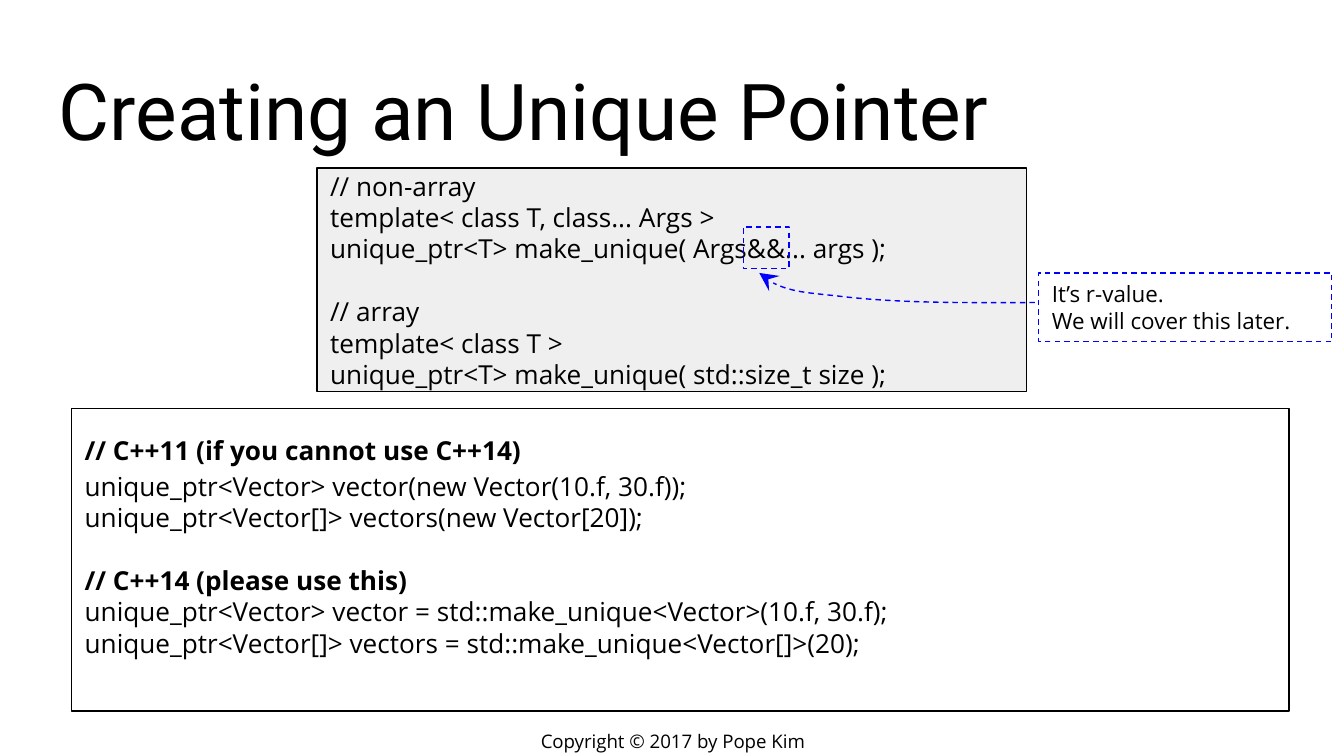
import pptx
import pptx.dml.color
import pptx.enum.dml
import pptx.enum.shapes
import pptx.enum.text
import pptx.oxml
import pptx.oxml.ns
import pptx.util
from pptx.util import Cm

COLORS = {"ink": "000000", "code": "EFEFEF", "accent": "0000FF"}
INSET = 0.25
LINE_HEIGHT = 1.2

SIGNATURES = [
    ["// non-array", "template< class T, class... Args >",
     "unique_ptr<T> make_unique( Args&&... args );"],
    ["// array", "template< class T >",
     "unique_ptr<T> make_unique( std::size_t size );"],
]
EXAMPLES = [
    ["// C++11 (if you cannot use C++14)",
     "unique_ptr<Vector> vector(new Vector(10.f, 30.f));",
     "unique_ptr<Vector[]> vectors(new Vector[20]);"],
    ["// C++14 (please use this)",
     "unique_ptr<Vector> vector = std::make_unique<Vector>(10.f, 30.f);",
     "unique_ptr<Vector[]> vectors = std::make_unique<Vector[]>(20);"],
]


def rgb(name):
    """Return the named colour."""
    return pptx.dml.color.RGBColor.from_string(COLORS[name])


def format_frame(frame, anchor=pptx.enum.text.MSO_ANCHOR.MIDDLE):
    """Set wrapping, anchor and equal insets of a text frame."""
    frame.word_wrap = True
    frame.auto_size = pptx.enum.text.MSO_AUTO_SIZE.NONE
    frame.vertical_anchor = anchor
    frame.margin_left = frame.margin_right = Cm(INSET)
    frame.margin_top = frame.margin_bottom = Cm(INSET)


def format_para(para, size, font="Open Sans", align=pptx.enum.text.PP_ALIGN.LEFT):
    """Set the font and alignment of a paragraph."""
    para.alignment = align
    para.font.size = pptx.util.Pt(size)
    para.font.name = font
    para.font.color.rgb = rgb("ink")


def write_groups(frame, groups, size):
    """Write groups of lines, one line height apart, and return the paragraphs."""
    format_frame(frame)
    frame.text = "\n".join(line for group in groups for line in group)
    paras = list(frame.paragraphs)
    for para in paras:
        format_para(para, size)
    start = 0
    for group in groups[:-1]:
        start += len(group)
        paras[start].space_before = pptx.util.Pt(size * LINE_HEIGHT)
    return paras


def style_line(shape, color, dashed=False):
    """Give a shape a thin outline and no shadow."""
    shape.shadow.inherit = False
    shape.line.color.rgb = rgb(color)
    shape.line.width = pptx.util.Pt(0.75)
    if dashed:
        shape.line.dash_style = pptx.enum.dml.MSO_LINE.DASH


def add_box(page, box, color="ink", fill=None, dashed=False):
    """Add an outlined rectangle, filled if a fill is named."""
    shape = page.shapes.add_shape(
        pptx.enum.shapes.MSO_SHAPE.RECTANGLE, *map(Cm, box))
    style_line(shape, color, dashed)
    if fill:
        shape.fill.solid()
        shape.fill.fore_color.rgb = rgb(fill)
    else:
        shape.fill.background()
    return shape


def place_title(page, box):
    """Move and format the title placeholder."""
    title = page.shapes.title
    title.left, title.top, title.width, title.height = map(Cm, box)
    title.text_frame.text = "Creating an Unique Pointer"
    format_frame(title.text_frame, pptx.enum.text.MSO_ANCHOR.BOTTOM)
    format_para(title.text_frame.paragraphs[0], 42, "Roboto")


def place_examples(page, box):
    """Add the usage examples with bold headings, set slightly above centre."""
    frame = add_box(page, box).text_frame
    paras = write_groups(frame, EXAMPLES, 14)
    frame.margin_bottom = Cm(INSET + 0.59)
    for para in paras[::3]:
        para.font.bold = True
    for para in paras[:2]:
        para.line_spacing = 1.15


def place_signatures(page, box):
    """Add the function signatures and the mark around the r-value reference."""
    left, top = box[:2]
    write_groups(add_box(page, box, fill="code").text_frame, SIGNATURES, 14)
    add_box(page, (left + 8.06, top + 1.11, 0.86, 0.79), "accent", dashed=True)


def place_callout(page, box):
    """Add the dashed remark and its curved arrow to the left."""
    left, top = box[:2]
    shape = add_box(page, box, "accent", dashed=True)
    write_groups(shape.text_frame, [["It’s r-value.", "We will cover this later."]], 12)
    offsets = [(-0.07, 0.56), (-1.27, 0.56), (-2.48, 0.58), (-3.68, 0.45),
               (-4.24, 0.38), (-4.9, 0.38), (-5.28, 0)]
    points = [(Cm(left + x), Cm(top + y)) for x, y in offsets]
    builder = page.shapes.build_freeform(*points[0])
    builder.add_line_segments(points[1:], close=False)
    arrow = builder.convert_to_shape()
    arrow.fill.background()
    style_line(arrow, "accent", dashed=True)
    bend_lines(arrow)
    tail = pptx.oxml.parse_xml(
        f'<a:tailEnd {pptx.oxml.ns.nsdecls("a")} type="stealth" w="lg" len="lg"/>')
    arrow.line._get_or_add_ln().append(tail)


def bend_lines(shape):
    """Turn each three line segments of a freeform into one cubic curve."""
    lines = shape.element.xpath(".//a:lnTo")
    for start in range(0, len(lines), 3):
        curve = pptx.oxml.parse_xml(f'<a:cubicBezTo {pptx.oxml.ns.nsdecls("a")}/>')
        lines[start].addprevious(curve)
        for line in lines[start:start + 3]:
            curve.append(line[0])
            line.getparent().remove(line)


def place_footer(page, box):
    """Add the centred copyright line."""
    frame = page.shapes.add_textbox(*map(Cm, box)).text_frame
    frame.text = "Copyright © 2017 by Pope Kim"
    format_frame(frame)
    format_para(frame.paragraphs[0], 10, align=pptx.enum.text.PP_ALIGN.CENTER)


def main():
    """Build and save the deck."""
    deck = pptx.Presentation()
    deck.slide_width, deck.slide_height = Cm(25.4), Cm(14.29)
    page = deck.slides.add_slide(deck.slide_layouts[5])
    place_footer(page, (9.58, 13.74, 6.27, 0.53))
    place_title(page, (0.86, 0.89, 23.67, 2.31))
    place_examples(page, (1.35, 7.72, 23.01, 5.72))
    place_signatures(page, (5.99, 3.18, 13.41, 4.22))
    place_callout(page, (19.63, 5.16, 5.54, 1.3))
    deck.save("out.pptx")


if __name__ == "__main__":
    main()
